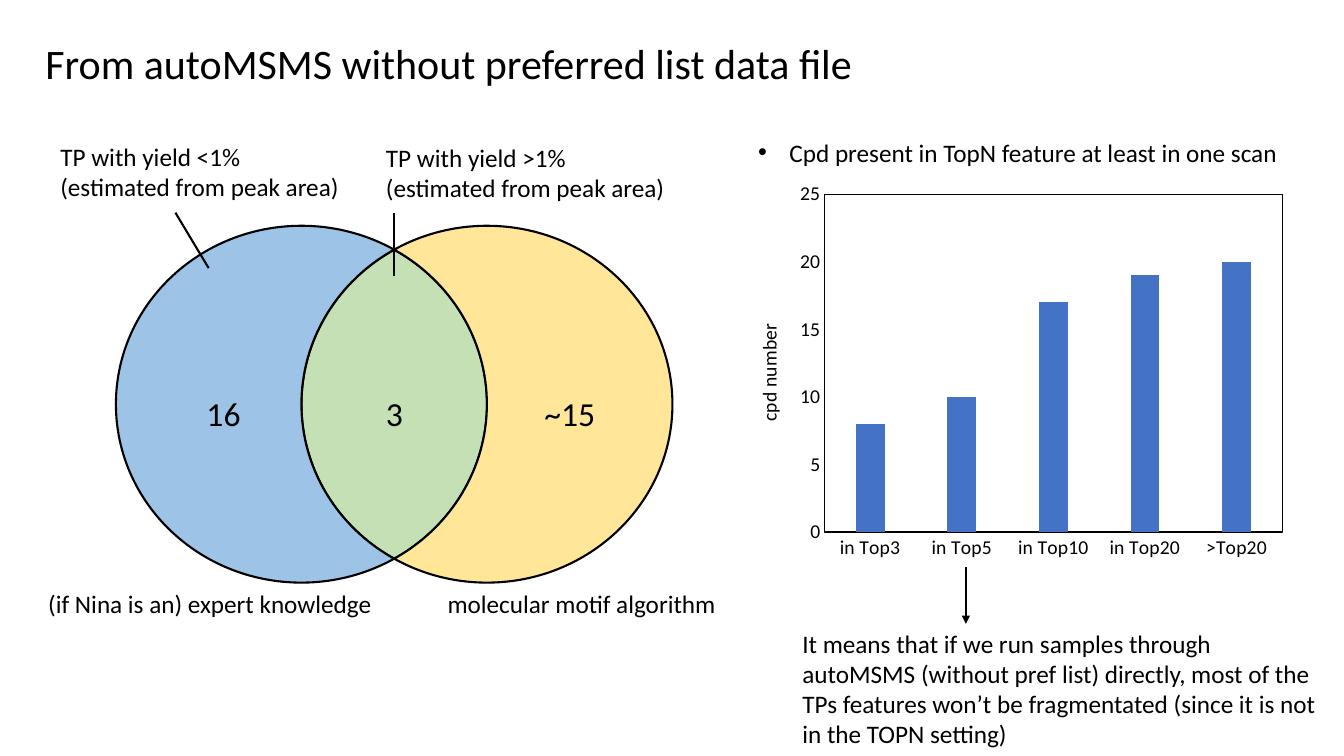
import math
import pptx
import pptx.chart.data
import pptx.dml.color
import pptx.enum.chart
import pptx.enum.shapes
import pptx.enum.text
import pptx.oxml
import pptx.oxml.ns
import pptx.util

Inches = pptx.util.Inches
Pt = pptx.util.Pt
qn = pptx.oxml.ns.qn
decls = pptx.oxml.ns.nsdecls
rgb = pptx.dml.color.RGBColor.from_string


class Theme:
    font = "Calibri"
    ink = rgb("000000")
    left = rgb("9DC3E6")
    both = rgb("C5E0B4")
    right = rgb("FFE699")
    bar = rgb("4472C4")
    title, count, body, axis = Pt(30), Pt(24), Pt(18), Pt(14)
    line, thin = Pt(1.5), Pt(0.75)


def write(text, at, shape=None, size=Theme.body, wrap=False, anchor="TOP"):
    """Put text in a placeholder, or in a new text box if none is given."""
    box = [Inches(n) for n in at]
    if shape is None:
        shape = slide.shapes.add_textbox(*box)
    shape.left, shape.top, shape.width, shape.height = box
    frame = shape.text_frame
    frame.text = text
    frame.word_wrap = wrap
    frame.auto_size = pptx.enum.text.MSO_AUTO_SIZE.NONE
    frame.vertical_anchor = getattr(pptx.enum.text.MSO_ANCHOR, anchor)
    for para in frame.paragraphs:
        para.alignment = pptx.enum.text.PP_ALIGN.LEFT
        para.space_before = Pt(0)
        para.font.size = size
        para.font.name = Theme.font
        para.font.color.rgb = Theme.ink
    return frame


def place(node, index, inner=False, **spots):
    """Give a chart part a manual layout, in fractions of the chart."""
    for old in node.findall(qn("c:layout")):
        node.remove(old)
    target = '<c:layoutTarget val="inner"/>' if inner else ""
    modes = "".join(f'<c:{k}Mode val="edge"/>' for k in "xy")
    parts = "".join(f'<c:{k} val="{v}"/>' for k, v in spots.items())
    node.insert(index, pptx.oxml.parse_xml(
        f'<c:layout {decls("c")}><c:manualLayout>{target}{modes}{parts}'
        "</c:manualLayout></c:layout>"))


deck = pptx.Presentation()
deck.slide_width, deck.slide_height = Inches(13.33), Inches(7.5)
slide = deck.slides.add_slide(deck.slide_layouts[1])

write("From autoMSMS without preferred list data file", (0.35, 0.39, 11.5, 0.54),
      shape=slide.shapes.title, size=Theme.title, wrap=True, anchor="BOTTOM"
      ).paragraphs[0].line_spacing = 0.9

# Venn diagram: the ellipses cross at 60 degrees, each region is two arcs
west, east, mid = 2.99, 4.83, 4.01
wide, high = 1.84, 1.77
regions = [
    (Theme.both, [(west, -60, 60), (east, 120, 240)]),
    (Theme.left, [(west, 60, 300), (east, 240, 120)]),
    (Theme.right, [(east, 240, 480), (west, 60, -60)]),
]
for fill, arcs in regions:
    curves = []
    for center, start, end in arcs:
        low, top = sorted((start, end))
        inside = [deg for deg in range(-90, 540, 90) if low < deg < top]
        cuts = sorted([start, *inside, end], reverse=start > end)
        for a, b in zip(cuts, cuts[1:]):
            a, b = math.radians(a), math.radians(b)
            pull = 4 / 3 * math.tan((b - a) / 4)
            curves.append([
                (Inches(center + wide * (math.cos(t) - k * math.sin(t))),
                 Inches(mid + high * (math.sin(t) + k * math.cos(t))))
                for t, k in [(a, 0), (a, pull), (b, -pull), (b, 0)]])
    pen = slide.shapes.build_freeform(*curves[0][0])
    pen.add_line_segments([curve[-1] for curve in curves], close=True)
    region = pen.convert_to_shape()
    # Bend each straight side into its arc
    sides = list(region.element.iter(qn("a:lnTo")))
    for side, curve in zip(sides, curves):
        dots = "".join(f'<a:pt x="{x - region.left}" y="{y - region.top}"/>'
                       for x, y in curve[1:])
        side.getparent().replace(side, pptx.oxml.parse_xml(
            f'<a:cubicBezTo {decls("a")}>{dots}</a:cubicBezTo>'))
    region.shadow.inherit = False
    region.fill.solid()
    region.fill.fore_color.rgb = fill
    region.line.color.rgb = Theme.ink
    region.line.width = Theme.line

write("(if Nina is an) expert knowledge", (0.38, 5.79, 3.45, 0.4))
write("molecular motif algorithm", (4.34, 5.79, 3.01, 0.4))
for count, left, width in [("16", 1.95, 0.54), ("3", 3.73, 0.37), ("~15", 5.3, 0.71)]:
    write(count, (left, 3.85, width, 0.5), size=Theme.count)
for sign, left, top in [(">", 3.73, 1.36), ("<", 0.5, 1.35)]:
    write(f"TP with yield {sign}1%\n(estimated from peak area)",
          (left, top, 3.23, 0.71), wrap=True)

# Chart
data = pptx.chart.data.CategoryChartData()
data.categories = ["in Top3", "in Top5", "in Top10", "in Top20", ">Top20"]
data.add_series("Series 1", [8, 10, 17, 19, 20])
chart = slide.shapes.add_chart(
    pptx.enum.chart.XL_CHART_TYPE.COLUMN_CLUSTERED, Inches(7.29), Inches(1.73),
    Inches(5.54), Inches(3.9), data).chart
chart.has_legend = False
chart.has_title = False
chart.font.size = Theme.axis
chart.font.name = Theme.font
chart.font.color.rgb = Theme.ink
plot = chart.plots[0]
plot.vary_by_categories = False
plot.gap_width, plot.overlap = 219, -27
bars = plot.series[0].format.fill
bars.solid()
bars.fore_color.rgb = Theme.bar

cats, vals = chart.category_axis, chart.value_axis
for axis in (cats, vals):
    axis.has_major_gridlines = False
    axis.major_tick_mark = pptx.enum.chart.XL_TICK_MARK.NONE
    axis.minor_tick_mark = pptx.enum.chart.XL_TICK_MARK.NONE
cats.format.line.color.rgb = Theme.ink
cats.format.line.width = Theme.thin
vals.format.line.fill.background()
vals.minimum_scale, vals.maximum_scale, vals.major_unit = 0, 25, 5
label = vals.axis_title
label.text_frame.text = "cpd number"
font = label.text_frame.paragraphs[0].font
font.size, font.bold, font.name = Theme.axis, False, Theme.font
font.color.rgb = Theme.ink
label.element.find(".//" + qn("a:bodyPr")).set("rot", "-5400000")
place(label.element, 1, x=0.03, y=0.37)

area = chart.element.find(".//" + qn("c:plotArea"))
place(area, 0, inner=True, x=0.16, y=0.05, w=0.82, h=0.86)
area.append(pptx.oxml.parse_xml(
    f'<c:spPr {decls("c", "a")}><a:noFill/><a:ln w="{Theme.thin}"><a:solidFill>'
    f'<a:srgbClr val="{Theme.ink}"/></a:solidFill></a:ln></c:spPr>'))

# Notes beside the chart
item = write("Cpd present in TopN feature at least in one scan",
             (7.42, 1.31, 5.42, 0.4), shape=slide.placeholders[1])
props = item.paragraphs[0]._p.get_or_add_pPr()
props.set("marL", str(Inches(0.31)))
props.set("indent", str(Inches(-0.31)))
write("It means that if we run samples through autoMSMS (without pref list) directly, "
      "most of the TPs features won’t be fragmentated (since it is not in the TOPN setting)",
      (7.86, 6.18, 5.33, 1.31), wrap=True)

# Pointers
for *ends, arrow in [(3.91, 2.11, 3.91, 2.74, False), (1.74, 2.11, 2.07, 2.66, False),
                     (9.58, 5.63, 9.58, 6.19, True)]:
    link = slide.shapes.add_connector(
        pptx.enum.shapes.MSO_CONNECTOR.STRAIGHT, *[Inches(n) for n in ends])
    link.line.color.rgb = Theme.ink
    link.line.width = Theme.line
    look = link.element.spPr
    if arrow:
        look.find(qn("a:ln")).append(
            pptx.oxml.parse_xml(f'<a:tailEnd {decls("a")} type="triangle"/>'))
    look.append(pptx.oxml.parse_xml(f'<a:effectLst {decls("a")}/>'))

deck.save("out.pptx")
